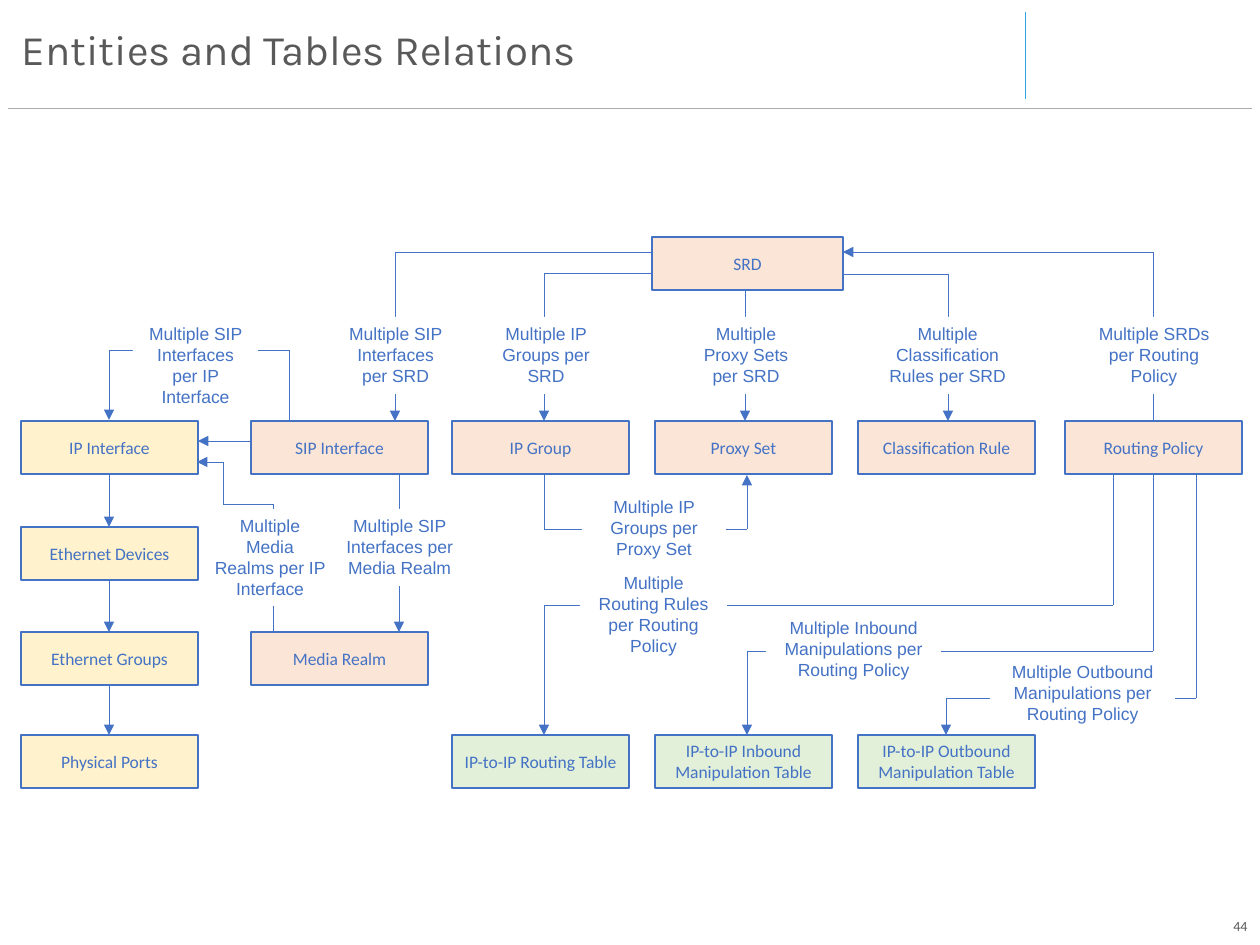
from itertools import pairwise

from lxml.etree import SubElement
from pptx import Presentation
from pptx.dml.color import RGBColor
from pptx.enum.shapes import MSO_CONNECTOR as Connector, MSO_SHAPE as Shape
from pptx.enum.text import MSO_ANCHOR as Anchor, MSO_AUTO_SIZE as AutoSize, PP_ALIGN as Align
from pptx.oxml.ns import qn
from pptx.util import Emu, Pt

PX = 914400 / 126
BLUE, GREY, WHITE = "4472C4", "595959", "FFFFFF"
SIP, NETWORK, TABLE = "FBE5D6", "FFF2CC", "E2F0D9"
COLUMNS = [21, 251, 452, 655, 858, 1065]
ROWS = [421, 527, 632, 735]
BOX_WIDTH, BOX_HEIGHT = 177, 53
LABEL_TOP = 317

# Text, column, row, fill
ENTITIES = [
    ("IP Interface", 0, 0, NETWORK),
    ("Ethernet Devices", 0, 1, NETWORK),
    ("Ethernet Groups", 0, 2, NETWORK),
    ("Physical Ports", 0, 3, NETWORK),
    ("SIP Interface", 1, 0, SIP),
    ("Media Realm", 1, 2, SIP),
    ("IP Group", 2, 0, SIP),
    ("Proxy Set", 3, 0, SIP),
    ("Classification Rule", 4, 0, SIP),
    ("Routing Policy", 5, 0, SIP),
    ("IP-to-IP Routing Table", 2, 3, TABLE),
    ("IP-to-IP Inbound Manipulation Table", 3, 3, TABLE),
    ("IP-to-IP Outbound Manipulation Table", 4, 3, TABLE),
]

# Corner points of each relation; the arrowhead is at the last one
RELATIONS = [
    [(652, 252), (395, 252), (395, 421)],
    [(652, 273), (544, 273), (544, 421)],
    [(745, 290), (745, 421)],
    [(843, 274), (948, 274), (948, 421)],
    [(1153, 421), (1153, 252), (843, 252)],
    [(289, 421), (289, 350), (109, 350), (109, 420)],
    [(251, 441), (198, 441)],
    [(273, 632), (273, 504), (223, 504), (223, 462), (197, 462)],
    [(399, 475), (399, 632)],
    [(544, 474), (544, 529), (747, 529), (747, 475)],
    [(1113, 474), (1113, 605), (544, 605), (544, 735)],
    [(1153, 474), (1153, 651), (747, 651), (747, 735)],
    [(1196, 474), (1196, 698), (946, 698), (946, 735)],
    *[[(109, top + BOX_HEIGHT), (109, below)] for top, below in pairwise(ROWS)],
]

# Text, left, top, width, height
LABELS = [
    ("Multiple SIP Interfaces per SRD", 335, LABEL_TOP, 121, 77),
    ("Multiple IP Groups per SRD", 479, LABEL_TOP, 134, 77),
    ("Multiple Proxy Sets per SRD", 683, LABEL_TOP, 126, 77),
    ("Multiple Classification Rules per SRD", 874, LABEL_TOP, 147, 77),
    ("Multiple SRDs per Routing Policy", 1079, LABEL_TOP, 150, 77),
    ("Multiple SIP Interfaces per IP Interface", 133, LABEL_TOP, 125, 97),
    ("Multiple SIP Interfaces per Media Realm", 315, 509, 169, 77),
    ("Multiple Media Realms per IP Interface", 202, 509, 136, 97),
    ("Multiple IP Groups per Proxy Set", 582, 490, 144, 77),
    ("Multiple Routing Rules per Routing Policy", 580, 566, 147, 97),
    ("Multiple Inbound Manipulations per Routing Policy", 766, 611, 175, 77),
    ("Multiple Outbound Manipulations per Routing Policy", 990, 655, 185, 77),
]


def px(*lengths):
    return [Emu(round(length * PX)) for length in lengths]


def rgb(code):
    return RGBColor.from_string(code)


def write(shape, text, size, font, colour, align, anchor):
    frame = shape.text_frame
    frame.word_wrap = True
    frame.vertical_anchor = anchor
    para = frame.paragraphs[0]
    para.alignment = align
    span = para.add_run()
    span.text = text
    span.font.size = Pt(size)
    span.font.name = font
    span.font.color.rgb = rgb(colour)
    return frame


def add_title(page, text):
    title = page.shapes.title
    title.left, title.top, title.width, title.height = px(9, 11, 1010, 82)
    frame = write(title, text, 24, "Karla", GREY, Align.LEFT, Anchor.MIDDLE)
    frame.paragraphs[0].line_spacing = 0.9


def add_page_number(page, number):
    box = page.shapes.add_textbox(*px(1212, 907, 48, 38))
    write(box, number, 8, "Calibri", GREY, Align.RIGHT, Anchor.MIDDLE)


def add_line(page, start, end, colour, arrow=False):
    line = page.shapes.add_connector(Connector.STRAIGHT, *px(*start, *end))
    line.line.color.rgb = rgb(colour)
    line.line.width = Pt(0.5)
    properties = line._element.spPr
    if arrow:
        SubElement(properties.find(qn("a:ln")), qn("a:tailEnd"), type="triangle")
    SubElement(properties, qn("a:effectLst"))


def add_relation(page, points):
    for start, end in pairwise(points):
        add_line(page, start, end, BLUE, arrow=end == points[-1])


def add_rectangle(page, bounds, fill):
    box = page.shapes.add_shape(Shape.RECTANGLE, *px(*bounds))
    box.shadow.inherit = False
    box.fill.solid()
    box.fill.fore_color.rgb = rgb(fill)
    return box


def add_entity(page, text, bounds, fill):
    box = add_rectangle(page, bounds, fill)
    box.line.color.rgb = rgb(BLUE)
    box.line.width = Pt(1)
    write(box, text, 10, "Calibri", BLUE, Align.CENTER, Anchor.MIDDLE)


def add_label(page, text, *bounds):
    box = add_rectangle(page, bounds, WHITE)
    box.line.fill.background()
    frame = write(box, text, 10, "Arial", BLUE, Align.CENTER, Anchor.TOP)
    frame.auto_size = AutoSize.SHAPE_TO_FIT_TEXT


def main():
    deck = Presentation()
    deck.slide_width, deck.slide_height = px(1260, 945)
    page = deck.slides.add_slide(deck.slide_layouts[5])
    add_line(page, (1025, 12), (1025, 99), "30A4DC")
    add_line(page, (8, 108), (1252, 108), "AFABAB")
    add_title(page, "Entities and Tables Relations")
    add_page_number(page, "44")
    for points in RELATIONS:
        add_relation(page, points)
    add_entity(page, "SRD", (652, 237, 191, BOX_HEIGHT), SIP)
    for text, column, row, fill in ENTITIES:
        add_entity(page, text, (COLUMNS[column], ROWS[row], BOX_WIDTH, BOX_HEIGHT), fill)
    for label in LABELS:
        add_label(page, *label)
    deck.save("out.pptx")


if __name__ == "__main__":
    main()
